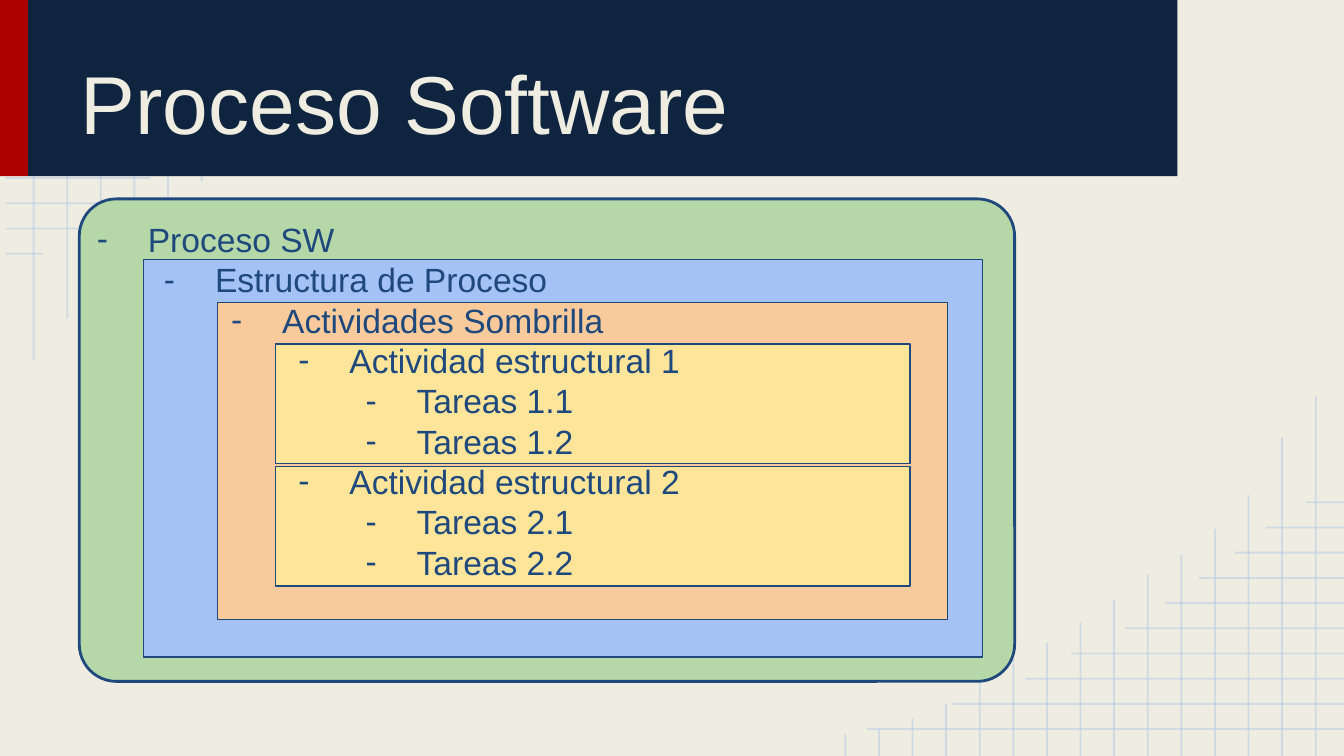
from lxml.etree import SubElement
from pptx import Presentation
from pptx.dml.color import RGBColor
from pptx.enum.shapes import MSO_CONNECTOR, MSO_SHAPE
from pptx.enum.text import MSO_ANCHOR, MSO_AUTO_SIZE, PP_ALIGN
from pptx.oxml.ns import qn
from pptx.util import Inches, Pt

WIDTH = 10
HEIGHT = WIDTH * 9 / 16
CREAM, NAVY, RED, BLUE, GRID = "EFEDE2", "0F243E", "AB0101", "1F497D", "B7CCE4"
ROW_ENDS = [3.59, 2.95, 2.41, 2.07, 1.67, 1.37, 1.12, 0.85, 0.62, 0.32]
COLUMN_ENDS = [2.68, 2.37, 1.94, 1.69, 1.5, 1.35, 1.16, 1,
               0.84, 0.72, 0.56, 0.39, 0.28, 0.2, 0.16]
OUTLINE = [
    (0, "Proceso SW"),
    (1, "Estructura de Proceso"),
    (2, "Actividades Sombrilla"),
    (3, "Actividad estructural 1"),
    (4, "Tareas 1.1"),
    (4, "Tareas 1.2"),
    (3, "Actividad estructural 2"),
    (4, "Tareas 2.1"),
    (4, "Tareas 2.2"),
]


def paint(color_format, color):
    color_format.rgb = RGBColor.from_string(color)


def add_grid_line(slide, start, end):
    line = slide.shapes.add_connector(
        MSO_CONNECTOR.STRAIGHT, *(Inches(v) for v in (*start, *end)))
    line.line.width = Pt(1)
    paint(line.line.color, GRID)
    properties = line.element.find(qn("p:spPr"))
    tint = next(properties.iter(qn("a:srgbClr")))
    SubElement(tint, qn("a:alpha"), val="54000")
    SubElement(properties, qn("a:effectLst"))


def add_corner_grid(slide, place):
    for i, end in enumerate(ROW_ENDS):
        y = 0.2 + 0.75 / 4 * i
        add_grid_line(slide, place(0.04, y), place(end, y))
    for i, end in enumerate(COLUMN_ENDS):
        x = 0.25 * (i + 1)
        add_grid_line(slide, place(x, end), place(x, 0))


def add_box(slide, bounds, color, border=None, radius=None):
    kind = MSO_SHAPE.RECTANGLE if radius is None else MSO_SHAPE.ROUNDED_RECTANGLE
    box = slide.shapes.add_shape(kind, *(Inches(v) for v in bounds))
    box.shadow.inherit = False
    box.fill.solid()
    paint(box.fill.fore_color, color)
    if radius is not None:
        box.adjustments[0] = radius
    if border is None:
        box.line.fill.background()
    else:
        box.line.width = Pt(border)
        paint(box.line.color, BLUE)


def place_frame(holder, bounds, anchor):
    holder.left, holder.top, holder.width, holder.height = (
        Inches(v) for v in bounds)
    frame = holder.text_frame
    frame.word_wrap = True
    frame.auto_size = MSO_AUTO_SIZE.NONE
    frame.vertical_anchor = anchor
    frame.margin_left = frame.margin_right = Inches(0.1)
    frame.margin_top = frame.margin_bottom = Inches(0.1)
    return frame


def write(paragraph, text, size, color):
    paragraph.alignment = PP_ALIGN.LEFT
    paragraph.line_spacing = 1.0
    paragraph.space_before = paragraph.space_after = Pt(0)
    run = paragraph.add_run()
    run.text = text
    run.font.name = "Arial"
    run.font.size = Pt(size)
    paint(run.font.color, color)


def add_dash(paragraph, level):
    paragraph.level = level
    properties = paragraph._p.get_or_add_pPr()
    properties.set("marL", str(Inches(0.5 * (level + 1))))
    properties.set("indent", str(Inches(-0.38)))
    bullet_color = SubElement(properties, qn("a:buClr"))
    SubElement(bullet_color, qn("a:srgbClr"), val=BLUE)
    SubElement(properties, qn("a:buFont"), typeface="Arial")
    SubElement(properties, qn("a:buChar"), char="-")


def bring_to_front(holder):
    holder.element.getparent().append(holder.element)


def main():
    deck = Presentation()
    deck.slide_width, deck.slide_height = Inches(WIDTH), Inches(HEIGHT)
    slide = deck.slides.add_slide(deck.slide_layouts[1])
    slide.background.fill.solid()
    paint(slide.background.fill.fore_color, CREAM)

    add_corner_grid(slide, lambda x, y: (x, y))
    add_corner_grid(slide, lambda x, y: (10.04 - x, HEIGHT - y))
    add_box(slide, (0, -0.01, 0.21, 1.32), RED)
    add_box(slide, (0.21, -0.01, 8.55, 1.32), NAVY)

    add_box(slide, (0.59, 1.48, 6.96, 3.59), "B6D7A8", border=1.5, radius=0.077)
    title = slide.shapes.title
    heading = place_frame(title, (0.5, 0.11, 8, 1.11), MSO_ANCHOR.BOTTOM)
    write(heading.paragraphs[0], "Proceso Software", size=44, color=CREAM)
    bring_to_front(title)

    add_box(slide, (1.07, 1.93, 6.24, 2.96), "A4C2F4", border=0.75)
    add_box(slide, (1.62, 2.25, 5.43, 2.36), "F9CB9C", border=0.75)
    for activity_top in (2.56, 3.47):
        add_box(slide, (2.05, activity_top, 4.72, 0.89), "FFE599", border=0.75)

    body = slide.placeholders[1]
    outline = place_frame(body, (0.5, 1.53, 5.15, 3.97), MSO_ANCHOR.TOP)
    for i, (level, text) in enumerate(OUTLINE):
        paragraph = outline.add_paragraph() if i else outline.paragraphs[0]
        write(paragraph, text, size=18, color=BLUE)
        add_dash(paragraph, level)
    bring_to_front(body)

    deck.save("out.pptx")


main()
